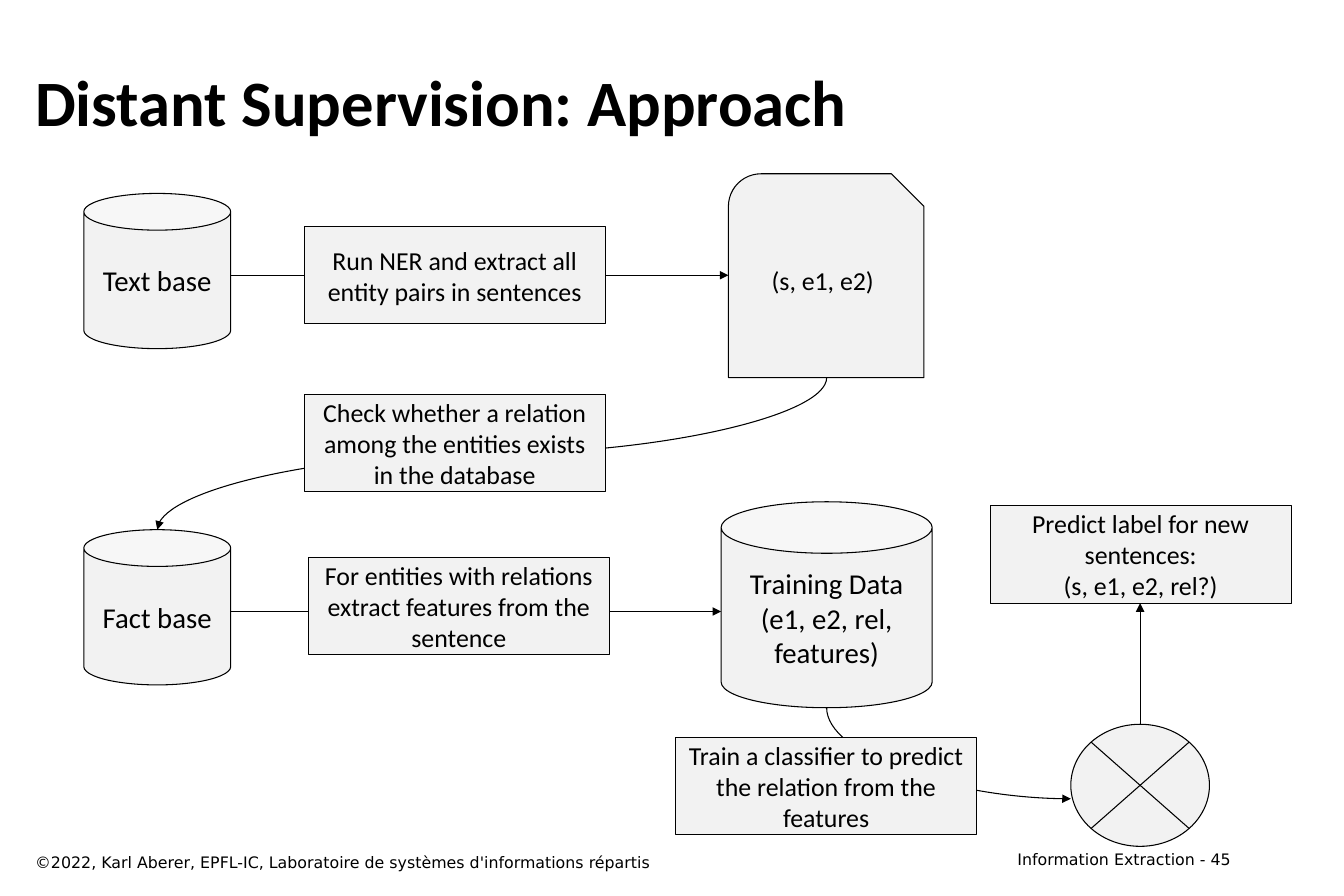
import pptx
import pptx.dml.color
import pptx.enum.shapes
import pptx.enum.text
import pptx.oxml.ns
import pptx.util
from lxml import etree

Inches = pptx.util.Inches
Pt = pptx.util.Pt
KIND = pptx.enum.shapes.MSO_SHAPE
CONNECTOR = pptx.enum.shapes.MSO_CONNECTOR
ALIGN = pptx.enum.text.PP_ALIGN
MIDDLE = pptx.enum.text.MSO_ANCHOR.MIDDLE
qn = pptx.oxml.ns.qn
COLORS = {name: pptx.dml.color.RGBColor.from_string(value)
          for name, value in {"ink": "000000", "fill": "F2F2F2"}.items()}


def write(frame, text, size, font="Calibri", align=ALIGN.CENTER, bold=False):
    frame.word_wrap = True
    frame.text = text
    for paragraph in frame.paragraphs:
        paragraph.alignment = align
        paragraph.font.size = Pt(size)
        paragraph.font.name = font
        paragraph.font.bold = bold
        paragraph.font.color.rgb = COLORS["ink"]


def add_node(kind, place, text="", size=18):
    node = slide.shapes.add_shape(kind, *map(Inches, place))
    node.shadow.inherit = False
    node.fill.solid()
    node.fill.fore_color.rgb = COLORS["fill"]
    node.line.color.rgb = COLORS["ink"]
    node.line.width = Pt(0.75)
    if text:
        node.text_frame.vertical_anchor = MIDDLE
        write(node.text_frame, text, size)


deck = pptx.Presentation()
deck.slide_width, deck.slide_height = Inches(12.99), Inches(8.66)
slide = deck.slides.add_slide(deck.slide_layouts[5])

# Title
title = slide.shapes.title
title.left, title.top, title.width, title.height = map(Inches, (0.22, 0.39, 11.8, 1.16))
title.text_frame.margin_left = title.text_frame.margin_right = Inches(0.12)
title.text_frame.vertical_anchor = MIDDLE
write(title.text_frame, "Distant Supervision: Approach", 45, align=ALIGN.LEFT, bold=True)

# Footer
for place, text, align in [
    ((0.22, 8.18, 8.34, 0.29),
     "©2022, Karl Aberer, EPFL-IC, Laboratoire de systèmes d'informations répartis", ALIGN.LEFT),
    ((9.31, 8.15, 2.71, 0.29), "Information Extraction - 45", ALIGN.RIGHT),
]:
    footer = slide.shapes.add_textbox(*map(Inches, place)).text_frame
    footer.margin_left = footer.margin_right = Inches(0.12)
    footer.margin_top = footer.margin_bottom = Inches(0.06)
    write(footer, text, 11, "DejaVu Sans", align)

# Data stores, sentence file and classifier
add_node(KIND.CAN, (0.81, 1.87, 1.42, 1.5), "Text base", 20)
add_node(KIND.CAN, (0.81, 5.12, 1.42, 1.5), "Fact base", 20)
add_node(KIND.CAN, (6.97, 4.85, 2.04, 1.99), "Training Data\n(e1, e2, rel, features)", 20)
add_node(KIND.SNIP_ROUND_RECTANGLE, (7.04, 1.68, 1.89, 1.97), "(s, e1, e2)")
add_node(KIND.FLOWCHART_SUMMING_JUNCTION, (10.35, 7, 1.34, 1.18))

# Arrows: start, end, quarter turns, preset; a turned curve leaves its start vertically
for (x1, y1), (x2, y2), turn, preset in [
    ((2.23, 2.66), (7.04, 2.66), 0, "line"),
    ((7.99, 3.65), (1.52, 5.12), 1, "curvedConnector3"),
    ((2.23, 5.91), (6.97, 5.91), 0, "line"),
    ((7.99, 6.84), (10.35, 7.72), -1, "curvedConnector2"),
    ((11.02, 7), (11.02, 5.83), 0, "line"),
]:
    if turn:
        mid_x, mid_y = (x1 + x2) / 2, (y1 + y2) / 2
        half_x, half_y = turn * (y2 - y1) / 2, turn * (x1 - x2) / 2
        x1, y1, x2, y2 = mid_x - half_x, mid_y - half_y, mid_x + half_x, mid_y + half_y
    arrow = slide.shapes.add_connector(CONNECTOR.CURVE if turn else CONNECTOR.STRAIGHT,
                                       *map(Inches, (x1, y1, x2, y2)))
    arrow.line.color.rgb = COLORS["ink"]
    arrow.line.width = Pt(0.75)
    properties = arrow._element.spPr
    properties.find(qn("a:prstGeom")).set("prst", preset)
    if turn:
        properties.find(qn("a:xfrm")).set("rot", str(turn % 4 * 90 * 60000))
    etree.SubElement(properties.find(qn("a:ln")), qn("a:tailEnd"), type="triangle")
    etree.SubElement(properties, qn("a:effectLst"))

# Processing steps, on top of the arrows
for left, top, text in [
    (2.94, 2.19, "Run NER and extract all entity pairs in sentences"),
    (2.94, 3.81, "Check whether a relation among the entities exists in the database"),
    (2.98, 5.39, "For entities with relations extract features from the sentence"),
    (6.53, 7.13, "Train a classifier to predict the relation from the features"),
    (9.57, 4.89, "Predict label for new sentences:\n(s, e1, e2, rel?)"),
]:
    add_node(KIND.RECTANGLE, (left, top, 2.91, 0.94), text)

deck.save("out.pptx")
